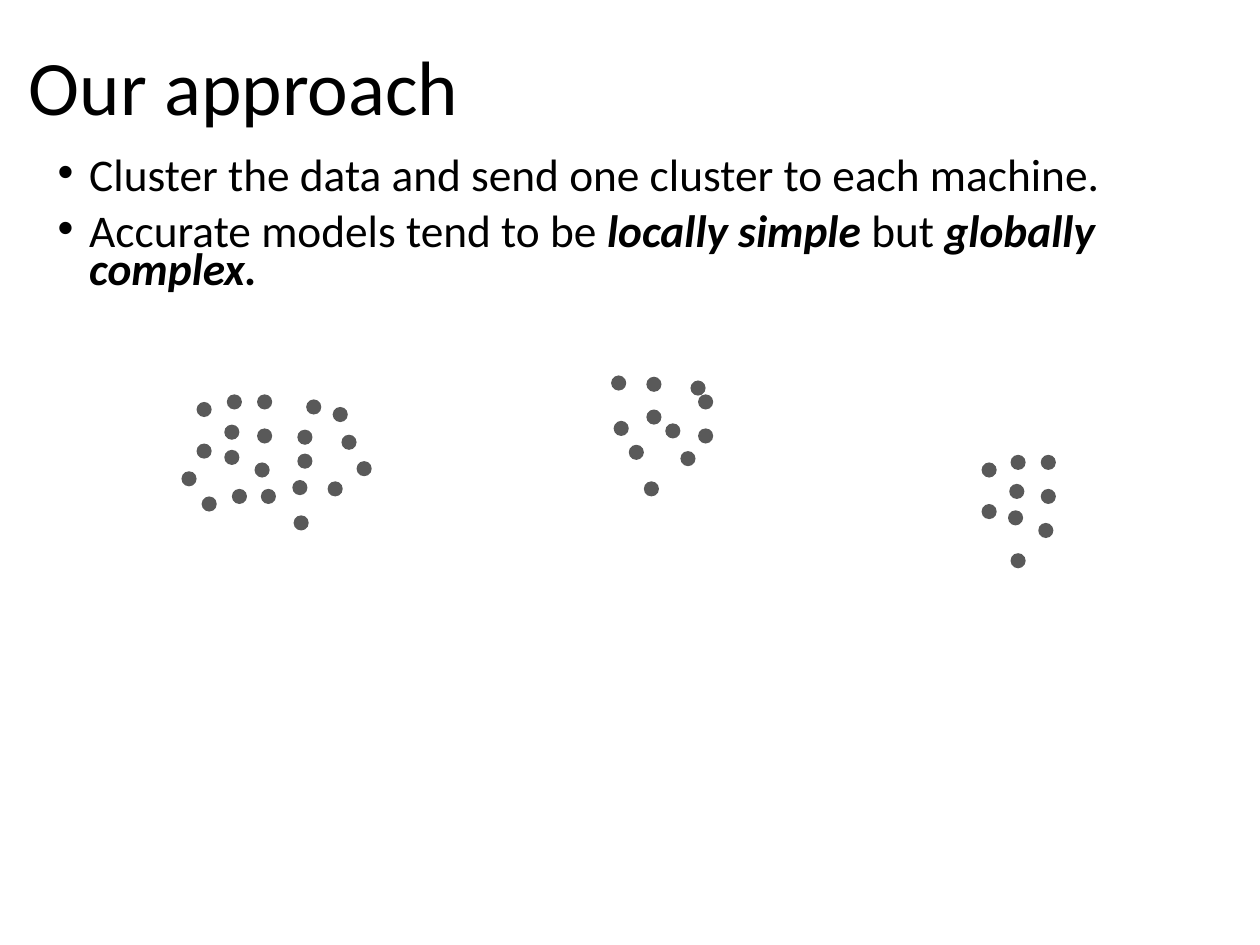
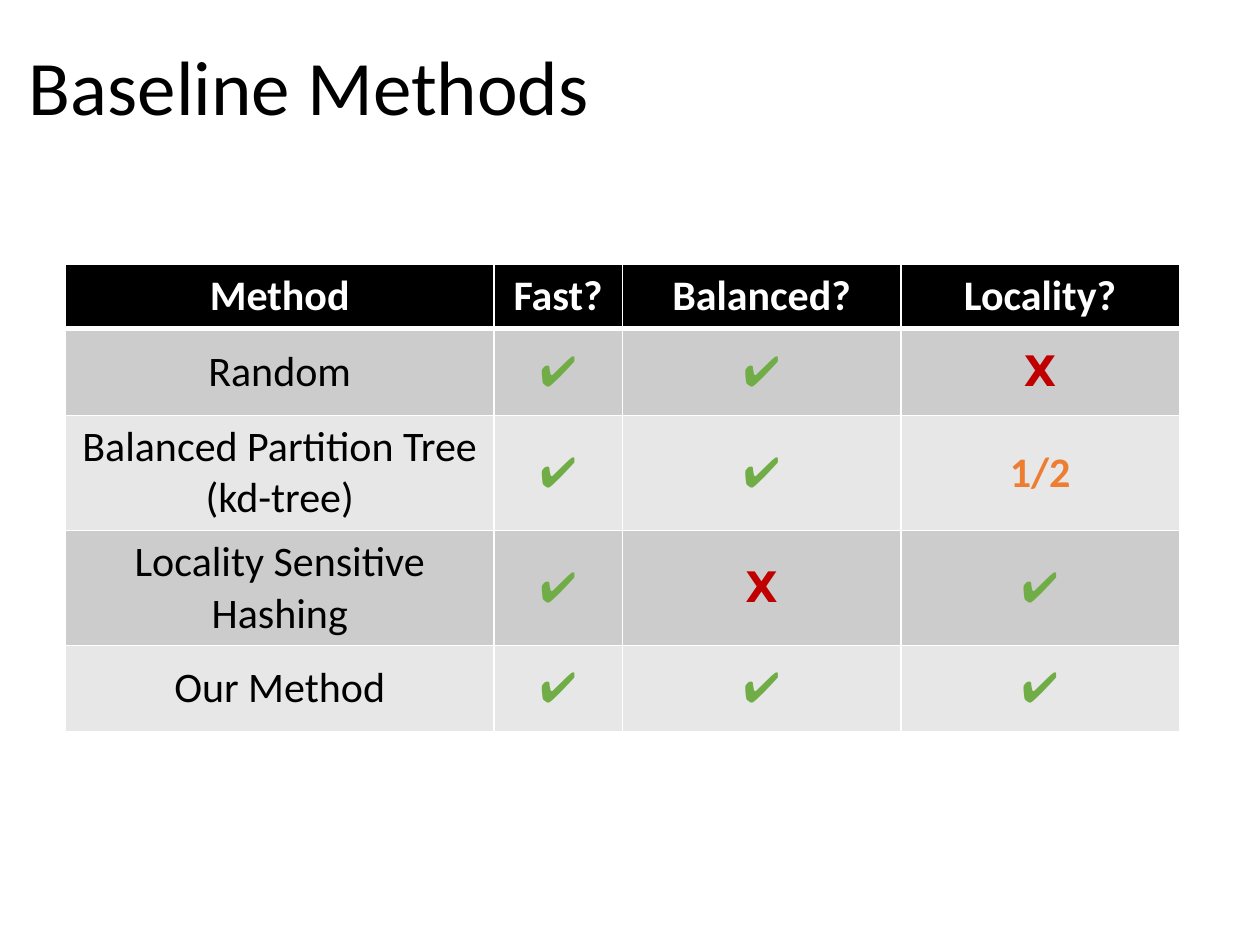
from lxml import etree
from pptx import Presentation
from pptx.dml.color import RGBColor
from pptx.enum.shapes import MSO_SHAPE
from pptx.enum.text import MSO_ANCHOR, PP_ALIGN
from pptx.oxml.ns import qn
from pptx.util import Inches, Pt

# Shared look
FONT = "Calibri"
BLACK, WHITE = "000000", "FFFFFF"
DOT_GREY, ROW_DARK, ROW_LIGHT = "595959", "CCCCCC", "E7E7E7"
GREEN, RED, ORANGE = "70AD47", "C00000", "ED7D31"
DOT_SIZE = 0.12
TITLE_ONLY = 5

# Left and top of each data point, by cluster
LEFT_CLUSTER = [
    (1.56, 3.19), (1.8, 3.13), (2.04, 3.13), (2.43, 3.17), (2.64, 3.23),
    (1.78, 3.37), (2.04, 3.4), (2.36, 3.41), (2.71, 3.45), (1.56, 3.52),
    (1.78, 3.57), (2.02, 3.67), (2.36, 3.6), (2.83, 3.66), (1.44, 3.74),
    (1.6, 3.94), (1.84, 3.88), (2.07, 3.88), (2.32, 3.81), (2.6, 3.82),
    (2.33, 4.09),
]
MIDDLE_CLUSTER = [
    (4.85, 2.98), (5.13, 2.99), (5.48, 3.02), (5.54, 3.13), (4.87, 3.34),
    (5.13, 3.25), (5.28, 3.36), (5.54, 3.4), (4.99, 3.53), (5.4, 3.58),
    (5.11, 3.82),
]
RIGHT_CLUSTER = [
    (7.79, 3.67), (8.02, 3.61), (8.26, 3.61), (8.01, 3.84), (8.26, 3.88),
    (7.79, 4), (8, 4.05), (8.24, 4.15), (8.02, 4.39),
]

# Method comparison; a line break starts a new paragraph
METHODS = [
    ["Method", "Fast?", "Balanced?", "Locality?"],
    ["Random", "✔", "✔", "𝗫"],
    ["Balanced Partition Tree\n(kd-tree)", "✔", "✔", "1/2"],
    ["Locality Sensitive Hashing", "✔", "𝗫", "✔"],
    ["Our Method", "✔", "✔", "✔"],
]
VERDICT_COLORS = {"✔": GREEN, "𝗫": RED, "1/2": ORANGE}
COL_WIDTHS = [3.4, 1.02, 2.21, 2.21]
ROW_HEIGHTS = [0.49, 0.69, 0.91, 0.91, 0.68]


def rgb(value):
    return RGBColor.from_string(value)


def add_run(p, text, size=24, color=BLACK, bold=False, italic=False):
    r = p.add_run()
    r.text = text
    r.font.name = FONT
    r.font.size = Pt(size)
    r.font.color.rgb = rgb(color)
    r.font.bold = bold
    r.font.italic = italic


def add_titled_slide(prs, title):
    s = prs.slides.add_slide(prs.slide_layouts[TITLE_ONLY])
    sp = s.shapes.title
    sp.left, sp.top = Inches(0.13), Inches(-0.01)
    sp.width, sp.height = Inches(8.62), Inches(1.45)
    sp.text_frame.vertical_anchor = MSO_ANCHOR.MIDDLE
    p = sp.text_frame.paragraphs[0]
    p.alignment = PP_ALIGN.LEFT
    p.line_spacing = 0.9
    add_run(p, title, size=44)
    return s


def set_bullet(p, indent=0.25):
    pPr = p._p.get_or_add_pPr()
    pPr.set("marL", str(Inches(indent)))
    pPr.set("indent", str(-Inches(indent)))
    etree.SubElement(pPr, qn("a:buFont")).set("typeface", "Arial")
    etree.SubElement(pPr, qn("a:buChar")).set("char", "•")


def add_bullets(s, left, top, width, height, bullets):
    """Each bullet is a list of (text, emphasised) pairs."""
    tf = s.shapes.add_textbox(
        Inches(left), Inches(top), Inches(width), Inches(height)).text_frame
    tf.word_wrap = True
    for i, parts in enumerate(bullets):
        p = tf.add_paragraph() if i else tf.paragraphs[0]
        p.line_spacing = 0.7
        p.space_before = Pt(10)
        set_bullet(p)
        for text, strong in parts:
            add_run(p, text, size=25.9, bold=strong, italic=strong)


def add_dot(s, left, top):
    sp = s.shapes.add_shape(MSO_SHAPE.OVAL, Inches(left), Inches(top),
                            Inches(DOT_SIZE), Inches(DOT_SIZE))
    sp.shadow.inherit = False
    sp.fill.solid()
    sp.fill.fore_color.rgb = rgb(DOT_GREY)
    sp.line.fill.background()


def set_borders(cell, top=1, bottom=1):
    tcPr = cell._tc.get_or_add_tcPr()
    sides = [("L", 1), ("R", 1), ("T", top), ("B", bottom)]
    for i, (side, width) in enumerate(sides):
        ln = etree.Element(qn(f"a:ln{side}"), w=str(Pt(width)))
        fill = etree.SubElement(ln, qn("a:solidFill"))
        etree.SubElement(fill, qn("a:srgbClr")).set("val", WHITE)
        tcPr.insert(i, ln)


def fill_cell(cell, text, fill, **fmt):
    cell.fill.solid()
    cell.fill.fore_color.rgb = rgb(fill)
    cell.vertical_anchor = MSO_ANCHOR.MIDDLE
    tf = cell.text_frame
    for i, line in enumerate(text.split("\n")):
        p = tf.add_paragraph() if i else tf.paragraphs[0]
        p.alignment = PP_ALIGN.CENTER
        add_run(p, line, **fmt)


def add_method_table(s, left, top):
    table = s.shapes.add_table(
        len(METHODS), len(COL_WIDTHS), Inches(left), Inches(top),
        Inches(sum(COL_WIDTHS)), Inches(sum(ROW_HEIGHTS))).table
    for col, width in zip(table.columns, COL_WIDTHS):
        col.width = Inches(width)
    for i, (row, height) in enumerate(zip(table.rows, ROW_HEIGHTS)):
        row.height = Inches(height)
        for cell, text in zip(row.cells, METHODS[i]):
            if i == 0:
                fill_cell(cell, text, BLACK, color=WHITE, bold=True)
            else:
                fill_cell(cell, text, ROW_DARK if i % 2 else ROW_LIGHT,
                          color=VERDICT_COLORS.get(text, BLACK),
                          bold=text == "1/2")
            # Thick rule between the header and the body
            set_borders(cell, top=3 if i == 1 else 1,
                        bottom=3 if i == 0 else 1)


def main():
    prs = Presentation()
    prs.slide_width, prs.slide_height = Inches(10), Inches(7.5)

    # Slide 1: clustered data
    s = add_titled_slide(prs, "Our approach")
    for left, top in LEFT_CLUSTER + MIDDLE_CLUSTER + RIGHT_CLUSTER:
        add_dot(s, left, top)
    add_bullets(s, 0.36, 1.23, 9.28, 1.26, [
        [("Cluster the data and send one cluster to each machine.", False)],
        [("Accurate models tend to be ", False), ("locally simple", True),
         (" but ", False), ("globally complex.", True)],
    ])

    # Slide 2: comparison table
    s = add_titled_slide(prs, "Baseline Methods")
    add_method_table(s, 0.52, 2.1)

    prs.save("out.pptx")


if __name__ == "__main__":
    main()
